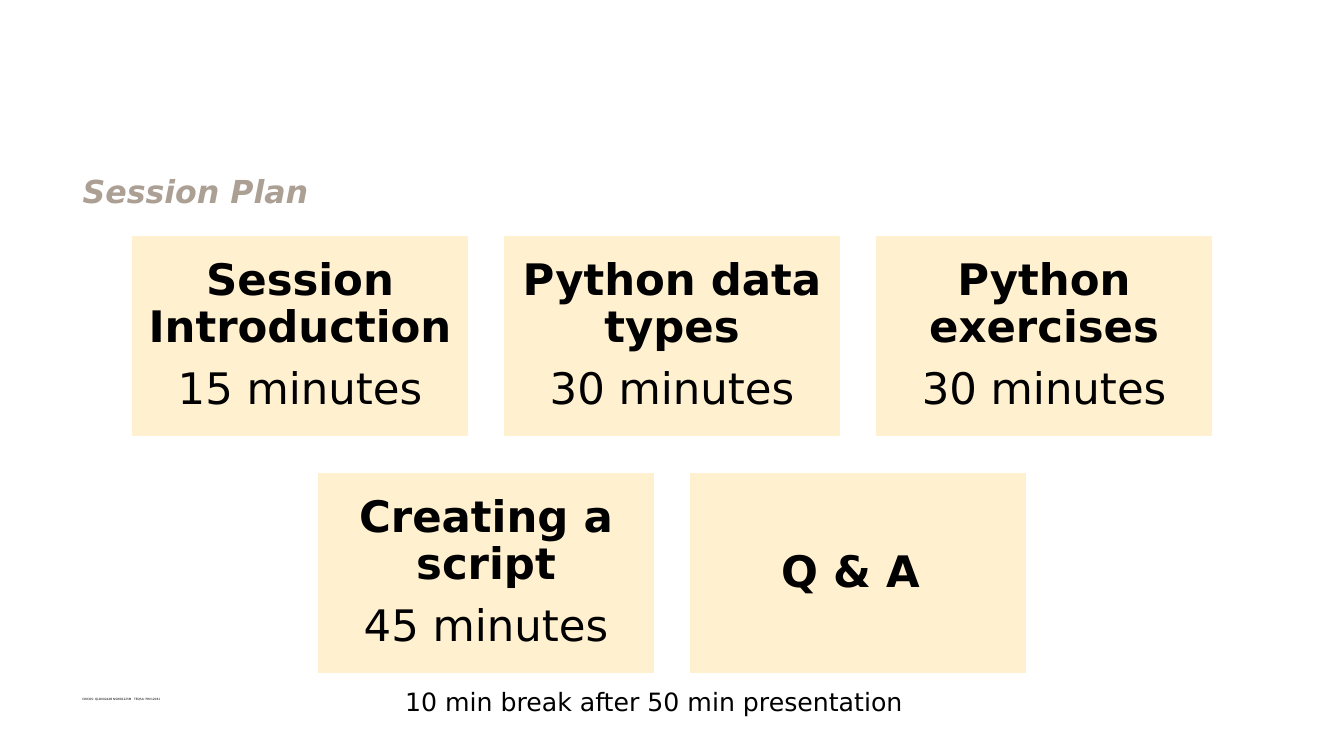
"""Build the session plan slide."""
from pptx import Presentation
from pptx import util as u
from pptx.dml.color import RGBColor
from pptx.enum import shapes, text

COLORS = {"text": "000000", "title": "ACA095", "card": "FFF1D0", "border": "FFFFFF"}
FONT = "DejaVu Sans"
CARD_WIDTH, CARD_HEIGHT = 25.2, 26.8
COLUMN_GAP, ROW_GAP = 2.48, 4.53
CARDS_TOP = 31.07
CARD_ROWS = [
    [
        ("Session Introduction ", "15 minutes"),
        ("Python data types", "30 minutes"),
        ("Python exercises", "30 minutes"),
    ],
    [("Creating a script", "45 minutes"), ("Q & A ",)],
]


class SlideBuilder:
    """Hold the style and the slide, placing elements on a grid of 100 by 100."""

    def __init__(self, presentation):
        self.column = presentation.slide_width / 100
        self.row = presentation.slide_height / 100
        self.slide = presentation.slides.add_slide(presentation.slide_layouts[5])

    def box(self, left, top, width, height):
        return (
            u.Emu(round(left * self.column)),
            u.Emu(round(top * self.row)),
            u.Emu(round(width * self.column)),
            u.Emu(round(height * self.row)),
        )

    def color(self, name):
        return RGBColor.from_string(COLORS[name])

    def format(self, paragraph, size, color="text", bold=False, italic=False):
        for run in paragraph.runs:
            font = run.font
            font.name, font.size = FONT, u.Pt(size)
            font.bold, font.italic = bold, italic
            font.color.rgb = self.color(color)

    def title(self, wording, *place):
        shape = self.slide.shapes.title
        shape.left, shape.top, shape.width, shape.height = self.box(*place)
        frame = shape.text_frame
        frame.text = wording
        frame.auto_size = text.MSO_AUTO_SIZE.NONE
        frame.vertical_anchor = text.MSO_ANCHOR.BOTTOM
        paragraph = frame.paragraphs[0]
        paragraph.alignment = text.PP_ALIGN.LEFT
        paragraph.line_spacing = 0.9
        self.format(paragraph, 22.6, "title", bold=True, italic=True)

    def label(self, wording, size, *place):
        frame = self.slide.shapes.add_textbox(*self.box(*place)).text_frame
        frame.word_wrap = True
        frame.text = wording
        self.format(frame.paragraphs[0], size)
        return frame.paragraphs[0]

    def superscript(self, paragraph):
        for run in paragraph.runs:
            run._r.get_or_add_rPr().set("baseline", "30000")

    def card(self, lines, left, top):
        shape = self.slide.shapes.add_shape(
            shapes.MSO_SHAPE.RECTANGLE, *self.box(left, top, CARD_WIDTH, CARD_HEIGHT)
        )
        shape.shadow.inherit = False
        shape.fill.solid()
        shape.fill.fore_color.rgb = self.color("card")
        shape.line.color.rgb = self.color("border")
        shape.line.width = u.Pt(1.5)
        frame = shape.text_frame
        frame.word_wrap = True
        frame.vertical_anchor = text.MSO_ANCHOR.MIDDLE
        frame.margin_left = frame.margin_right = u.Inches(0.13)
        frame.margin_top = frame.margin_bottom = u.Inches(0.13)
        frame.text = "\n".join(lines)
        for index, paragraph in enumerate(frame.paragraphs):
            paragraph.alignment = text.PP_ALIGN.CENTER
            paragraph.line_spacing = 0.9
            paragraph.space_after = u.Pt(10.85)
            self.format(paragraph, 31, bold=index == 0)

    def card_row(self, cards, top):
        pitch = CARD_WIDTH + COLUMN_GAP
        left = (100 - len(cards) * pitch + COLUMN_GAP) / 2
        for index, lines in enumerate(cards):
            self.card(lines, left + index * pitch, top)


presentation = Presentation()
presentation.slide_width, presentation.slide_height = u.Inches(13.33), u.Inches(7.5)
builder = SlideBuilder(presentation)
builder.title("Session Plan", 5.4, 17.87, 89.2, 10.67)
for number, cards in enumerate(CARD_ROWS):
    builder.card_row(cards, CARDS_TOP + number * (CARD_HEIGHT + ROW_GAP))
builder.label("10 min break after 50 min presentation", 18, 29.4, 90.13, 39.3, 5.33)
footer = builder.label(
    "CRICOS: QLD00244B NSW02225M   TEQSA: PRV12081", 3.6, 5.4, 91.6, 12.6, 2.13
)
footer.space_after = u.Pt(1.4)
builder.superscript(footer)
presentation.save("out.pptx")
